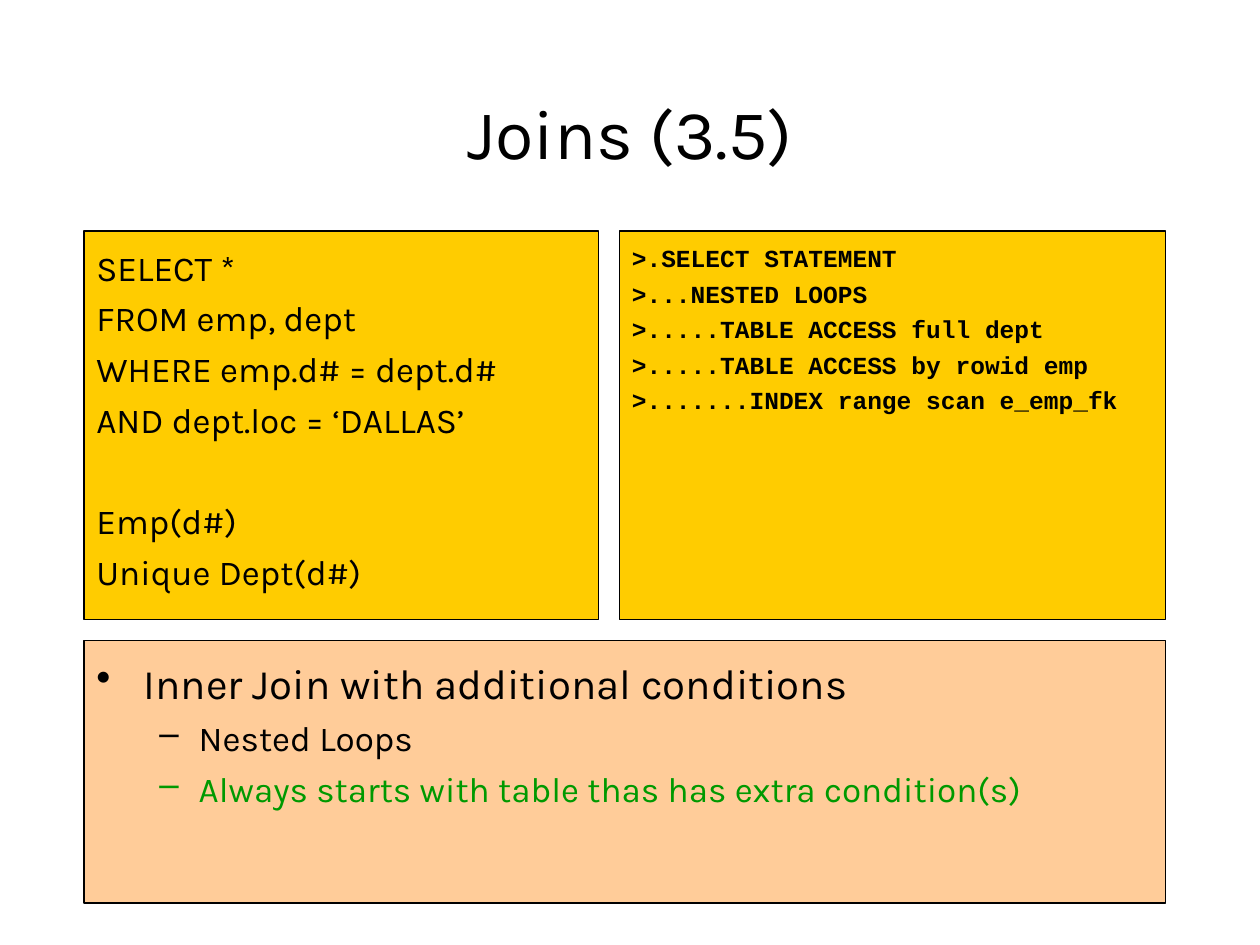
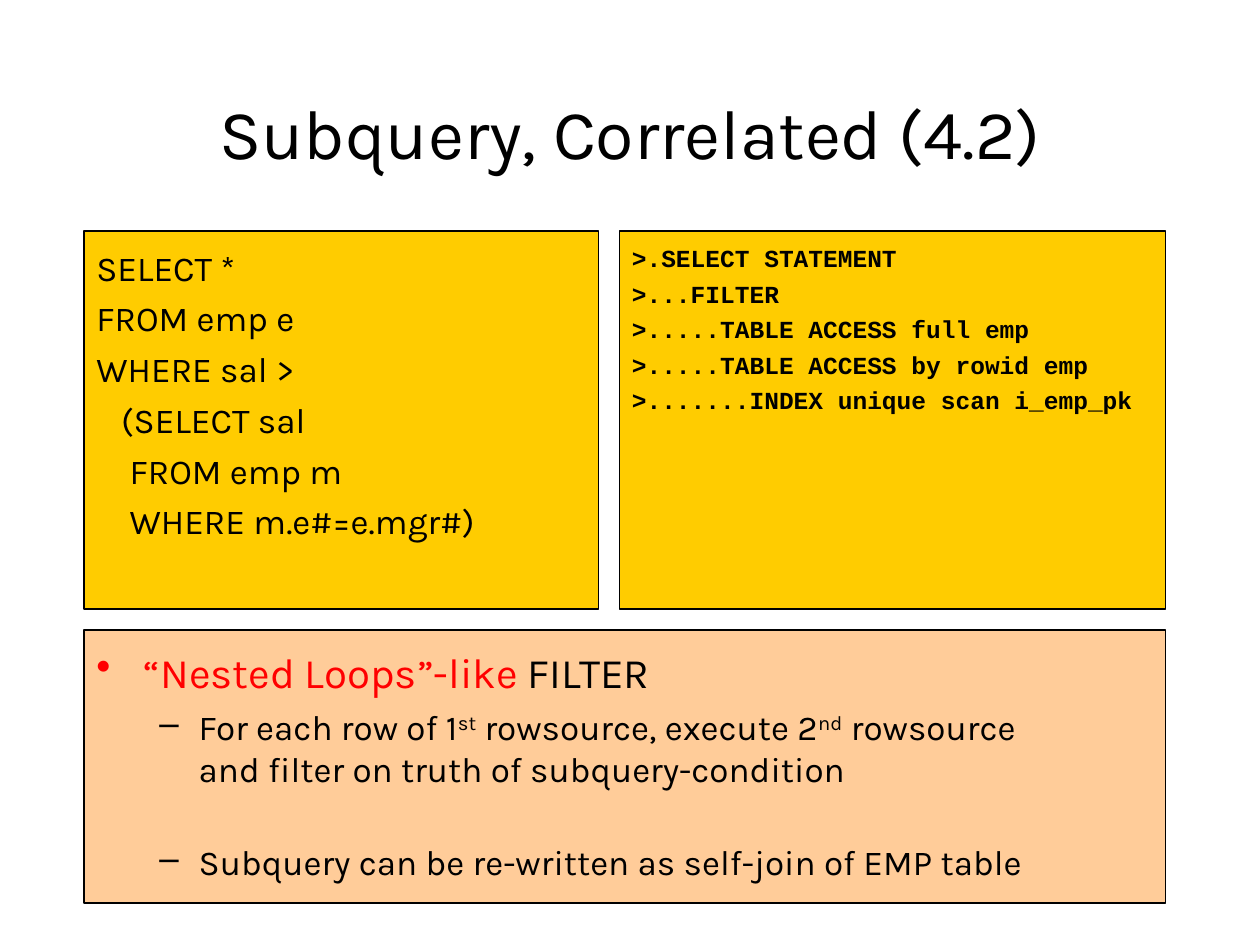
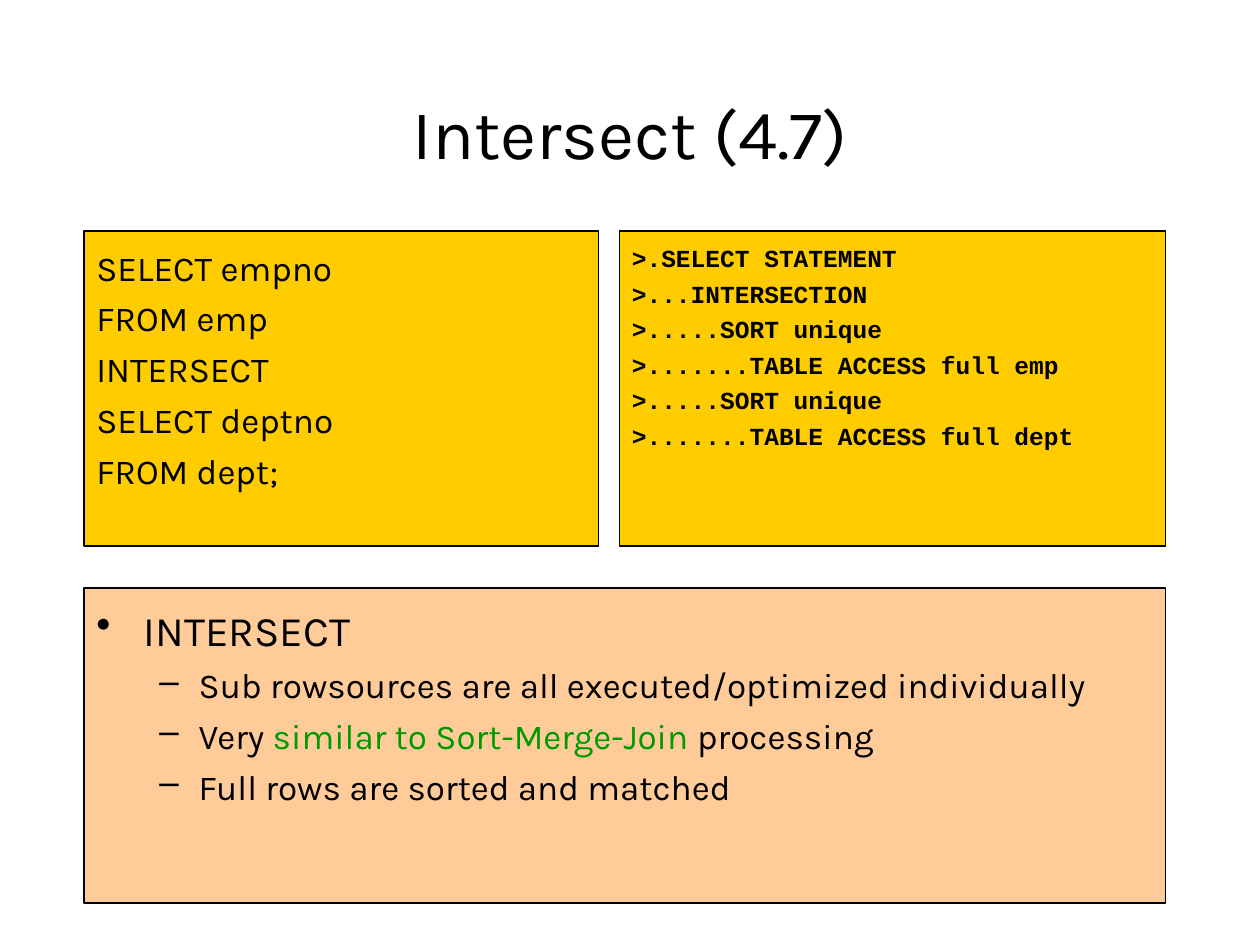
from dataclasses import dataclass

from lxml.etree import SubElement
from pptx import Presentation
from pptx.dml.color import RGBColor
from pptx.enum.shapes import MSO_SHAPE as Shape
from pptx.enum.text import MSO_ANCHOR as Anchor, PP_ALIGN as Align
from pptx.oxml.ns import qn
from pptx.util import Pt


@dataclass(frozen=True)
class Theme:
    ink: str = "000000"
    green: str = "009900"
    red: str = "FF0000"
    gold: str = "FFCC00"
    peach: str = "FFCC99"
    sans: str = "Karla"
    mono: str = "Courier New"
    title: int = 40
    bullet: int = 24
    body: int = 20
    plan: int = 14


T = Theme()

LEVELS = [
    dict(size=T.bullet, char="•", left=27, hang=27, before=6),
    dict(size=T.body, char="–", left=58.5, hang=22.5, before=5),
]
SQL_GAP, PLAN_GAP = 5, 3.5
BLOCK_GAP, BREAK_GAP = 34, 29

SLIDES = [
    dict(
        title="Joins (3.5)",
        code_h=222,
        points_top=366,
        sql=[
            ["SELECT *", "FROM emp, dept", "WHERE emp.d# = dept.d#", "AND dept.loc = ‘DALLAS’"],
            ["Emp(d#)", "Unique Dept(d#)"],
        ],
        plan=[
            ">.SELECT STATEMENT",
            ">...NESTED LOOPS",
            ">.....TABLE ACCESS full dept",
            ">.....TABLE ACCESS by rowid emp",
            ">.......INDEX range scan e_emp_fk",
        ],
        points=[
            (0, [("Inner Join with additional conditions", T.ink)]),
            (1, [("Nested Loops", T.ink)]),
            (1, [("Always starts with table thas has extra condition(s)", T.green)]),
        ],
    ),
    dict(
        title="Subquery, Correlated (4.2)",
        code_h=216,
        points_top=360,
        sql=[[
            "SELECT *",
            "FROM emp e",
            "WHERE sal >",
            "   (SELECT sal",
            "    FROM emp m",
            "    WHERE m.e#=e.mgr#)",
        ]],
        plan=[
            ">.SELECT STATEMENT",
            ">...FILTER",
            ">.....TABLE ACCESS full emp",
            ">.....TABLE ACCESS by rowid emp",
            ">.......INDEX unique scan i_emp_pk",
        ],
        points=[
            (0, [("“Nested Loops”-like", T.red), (" FILTER", T.ink)]),
            (1, [
                ("For each row of 1", T.ink),
                ("st", T.ink, "super"),
                (" rowsource, execute 2", T.ink),
                ("nd", T.ink, "super"),
                (" rowsource", T.ink, "break"),
                ("and filter on truth of subquery-condition", T.ink),
            ]),
            (1, [("Subquery can be re-written as self-join of EMP table", T.ink)], BREAK_GAP),
        ],
    ),
    dict(
        title="Intersect (4.7)",
        code_h=180,
        points_top=336,
        sql=[["SELECT empno", "FROM emp", "INTERSECT", "SELECT deptno", "FROM dept;"]],
        plan=[
            ">.SELECT STATEMENT",
            ">...INTERSECTION",
            ">.....SORT unique",
            ">.......TABLE ACCESS full emp",
            ">.....SORT unique",
            ">.......TABLE ACCESS full dept",
        ],
        points=[
            (0, [("INTERSECT", T.ink)]),
            (1, [("Sub rowsources are all executed/optimized individually", T.ink)]),
            (1, [("Very ", T.ink), ("similar to Sort-Merge-Join", T.green), (" processing", T.ink)]),
            (1, [("Full rows are sorted and matched", T.ink)]),
        ],
    ),
]

LEFT, RIGHT, BOTTOM = 48, 666, 516
CODE_TOP, SQL_W, GUTTER = 132, 294, 12
PLAN_LEFT = LEFT + SQL_W + GUTTER


def add_run(p, text, size, color=T.ink, font=T.sans, bold=False):
    r = p.add_run()
    r.text = text
    r.font.name, r.font.size, r.font.bold = font, Pt(size), bold
    r.font.color.rgb = RGBColor.from_string(color)
    return r


def add_para(tf, first, before):
    if first:
        return tf.paragraphs[0]
    p = tf.add_paragraph()
    p.space_before = Pt(before)
    return p


def add_panel(s, left, top, right, bottom, fill, lead):
    sp = s.shapes.add_shape(Shape.RECTANGLE, Pt(left), Pt(top), Pt(right - left), Pt(bottom - top))
    sp.shadow.inherit = False
    sp.fill.solid()
    sp.fill.fore_color.rgb = RGBColor.from_string(fill)
    sp.line.color.rgb = RGBColor.from_string(T.ink)
    sp.line.width = Pt(0.75)
    tf = sp.text_frame
    tf.word_wrap = True
    tf.vertical_anchor = Anchor.TOP
    tf.margin_top = Pt(3.6 + lead)
    return tf


def add_title(s, text):
    tf = s.shapes.add_textbox(Pt(54), Pt(48), Pt(612), Pt(54)).text_frame
    tf.word_wrap = True
    tf.vertical_anchor = Anchor.MIDDLE
    p = tf.paragraphs[0]
    p.alignment = Align.CENTER
    add_run(p, text, T.title)


def add_lines(tf, blocks, gap, **style):
    for b, block in enumerate(blocks):
        for i, line in enumerate(block):
            p = add_para(tf, b == i == 0, gap if i else BLOCK_GAP)
            p.alignment = Align.LEFT
            add_run(p, line, **style)


def add_bullet(p, level, color):
    pPr = p._p.get_or_add_pPr()
    pPr.set("marL", str(Pt(level["left"])))
    pPr.set("indent", str(-Pt(level["hang"])))
    clr = SubElement(pPr, qn("a:buClr"))
    SubElement(clr, qn("a:srgbClr"), val=color)
    SubElement(pPr, qn("a:buChar"), char=level["char"])


def add_points(tf, points):
    for i, (depth, runs, *before) in enumerate(points):
        level = LEVELS[depth]
        p = add_para(tf, i == 0, before[0] if before else level["before"])
        p.alignment = Align.LEFT
        p.level = depth
        add_bullet(p, level, runs[0][1])
        for text, color, *mark in runs:
            r = add_run(p, text, level["size"], color)
            if "super" in mark:
                r._r.get_or_add_rPr().set("baseline", "30000")
            if "break" in mark:
                p.add_line_break()


def main():
    prs = Presentation()
    prs.slide_width, prs.slide_height = Pt(720), Pt(540)
    for d in SLIDES:
        s = prs.slides.add_slide(prs.slide_layouts[6])
        code_bottom = CODE_TOP + d["code_h"]
        add_title(s, d["title"])
        tf = add_panel(s, LEFT, d["points_top"], RIGHT, BOTTOM, T.peach, LEVELS[0]["before"])
        add_points(tf, d["points"])
        tf = add_panel(s, PLAN_LEFT, CODE_TOP, RIGHT, code_bottom, T.gold, PLAN_GAP)
        add_lines(tf, [d["plan"]], PLAN_GAP, size=T.plan, font=T.mono, bold=True)
        tf = add_panel(s, LEFT, CODE_TOP, LEFT + SQL_W, code_bottom, T.gold, SQL_GAP)
        add_lines(tf, d["sql"], SQL_GAP, size=T.body)
    prs.save("out.pptx")


if __name__ == "__main__":
    main()
